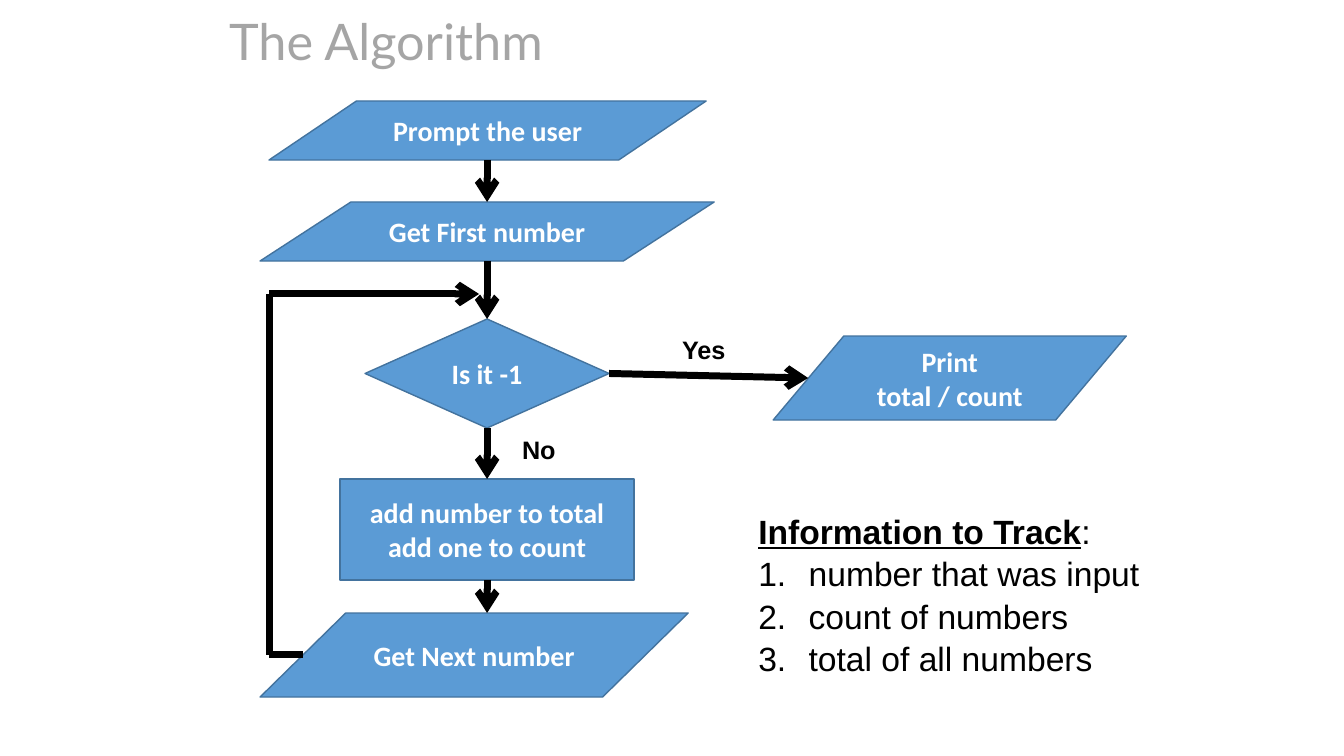
from lxml import etree
from pptx import Presentation
from pptx.dml.color import RGBColor
from pptx.enum.shapes import MSO_CONNECTOR, MSO_SHAPE as SHAPE
from pptx.enum.text import MSO_ANCHOR, MSO_AUTO_SIZE, PP_ALIGN
from pptx.oxml.ns import qn
from pptx.util import Inches, Pt

BLUE = RGBColor(0x5B, 0x9B, 0xD5)
DARK_BLUE = RGBColor(0x43, 0x73, 0x9E)
GRAY = RGBColor(0xA5, 0xA5, 0xA5)
BLACK = RGBColor(0, 0, 0)
WHITE = RGBColor(0xFF, 0xFF, 0xFF)

TITLE = "The Algorithm"
TITLE_BOX = (219, 0, 907, 88)

# name: (shape, box in px, text)
STEPS = {
    "prompt": (SHAPE.FLOWCHART_DATA, (269, 101, 437, 59), "Prompt the user"),
    "first": (SHAPE.FLOWCHART_DATA, (260, 202, 454, 59), "Get First number"),
    "print": (SHAPE.FLOWCHART_DATA, (773, 336, 353, 84), "Print\ntotal / count"),
    "next": (SHAPE.FLOWCHART_DATA, (260, 613, 428, 84), "Get Next number"),
    "test": (SHAPE.FLOWCHART_DECISION, (365, 319, 244, 109), "Is it -1"),
    "add": (SHAPE.FLOWCHART_PROCESS, (340, 479, 294, 101),
            "add number to total\nadd one to count"),
}
TOP, BOTTOM, RIGHT = 0, 2, 3

# start, end, arrowhead, joined start, joined end
LINES = [
    ((487, 160), (487, 202), True, None, None),
    ((487, 261), (487, 319), True, None, ("test", TOP)),
    ((487, 428), (487, 479), True, ("test", BOTTOM), ("add", TOP)),
    ((609, 374), (808, 378), True, ("test", RIGHT), None),
    ((487, 580), (487, 613), True, ("add", BOTTOM), None),
    ((269, 294), (479, 294), True, None, None),
    ((269, 294), (269, 655), False, None, None),
    ((303, 655), (269, 655), False, None, None),
]
LABELS = [("Yes", (672, 328, 65, 40)), ("No", (512, 428, 54, 40))]

TRACK_HEADING = "Information to Track"
TRACK_ITEMS = ["number that was input", "count of numbers", "total of all numbers"]
TRACK_BOX = (748, 504, 405, 173)
ARIAL_SPACING = 1.05


def px(length):
    return round(length * 914400 / 100.8)


def place(shape, box):
    shape.left, shape.top, shape.width, shape.height = map(px, box)


def format_runs(paragraph, name, size, color, bold=False):
    for run in paragraph.runs:
        font = run.font
        font.name, font.size, font.bold = name, Pt(size), bold
        font.color.rgb = color


def add_title(slide):
    title = slide.shapes.title
    place(title, TITLE_BOX)
    frame = title.text_frame
    frame.text = TITLE
    frame.auto_size = MSO_AUTO_SIZE.NONE
    frame.vertical_anchor = MSO_ANCHOR.MIDDLE
    paragraph = frame.paragraphs[0]
    paragraph.alignment = PP_ALIGN.LEFT
    paragraph.line_spacing = 0.9
    format_runs(paragraph, "Lato", 36, GRAY)


def add_step(slide, kind, box, text):
    step = slide.shapes.add_shape(kind, *map(px, box))
    step.shadow.inherit = False
    step.fill.solid()
    step.fill.fore_color.rgb = BLUE
    step.line.color.rgb = DARK_BLUE
    step.line.width = Pt(1)
    step.text_frame.text = text
    for paragraph in step.text_frame.paragraphs:
        paragraph.alignment = PP_ALIGN.CENTER
        format_runs(paragraph, "Calibri", 20, WHITE, bold=True)
    return step


def add_line(slide, steps, start, end, arrow, joined_start, joined_end):
    line = slide.shapes.add_connector(
        MSO_CONNECTOR.STRAIGHT, *map(px, start + end))
    line.line.color.rgb = BLACK
    line.line.width = Pt(5)
    if arrow:
        etree.SubElement(line.line._get_or_add_ln(), qn("a:tailEnd"), type="arrow")
    etree.SubElement(line._element.spPr, qn("a:effectLst"))
    if joined_start:
        name, side = joined_start
        line.begin_connect(steps[name], side)
    if joined_end:
        name, side = joined_end
        line.end_connect(steps[name], side)


def add_label(slide, text, box):
    frame = slide.shapes.add_textbox(*map(px, box)).text_frame
    frame.word_wrap = False
    frame.text = text
    paragraph = frame.paragraphs[0]
    paragraph.line_spacing = ARIAL_SPACING
    format_runs(paragraph, "Arial", 18, BLACK, bold=True)


def set_numbering(paragraph, numbered):
    properties = paragraph._p.get_or_add_pPr()
    indent = Inches(0.5) if numbered else 0
    properties.set("marL", str(indent))
    properties.set("indent", str(-indent))
    if numbered:
        etree.SubElement(properties, qn("a:buFont"), typeface="+mj-lt")
        etree.SubElement(properties, qn("a:buAutoNum"), type="arabicPeriod")
    else:
        etree.SubElement(properties, qn("a:buNone"))


def add_track_list(slide):
    body = slide.placeholders[1]
    place(body, TRACK_BOX)
    frame = body.text_frame
    frame.text = "\n".join([TRACK_HEADING, *TRACK_ITEMS])
    frame.auto_size = MSO_AUTO_SIZE.NONE
    frame.vertical_anchor = MSO_ANCHOR.TOP
    heading = frame.paragraphs[0]
    heading.add_run().text = ":"
    for paragraph in frame.paragraphs:
        set_numbering(paragraph, numbered=paragraph._p is not heading._p)
        paragraph.space_before = Pt(0)
        paragraph.line_spacing = ARIAL_SPACING
        format_runs(paragraph, "Arial", 24, BLACK)
    heading.runs[0].font.bold = True
    heading.runs[0].font.underline = True


def main():
    presentation = Presentation()
    presentation.slide_width = Inches(13.33)
    presentation.slide_height = Inches(7.5)
    slide = presentation.slides.add_slide(presentation.slide_layouts[1])
    add_title(slide)
    steps = {name: add_step(slide, *step) for name, step in STEPS.items()}
    for line in LINES:
        add_line(slide, steps, *line)
    for label in LABELS:
        add_label(slide, *label)
    add_track_list(slide)
    presentation.save("out.pptx")


if __name__ == "__main__":
    main()
